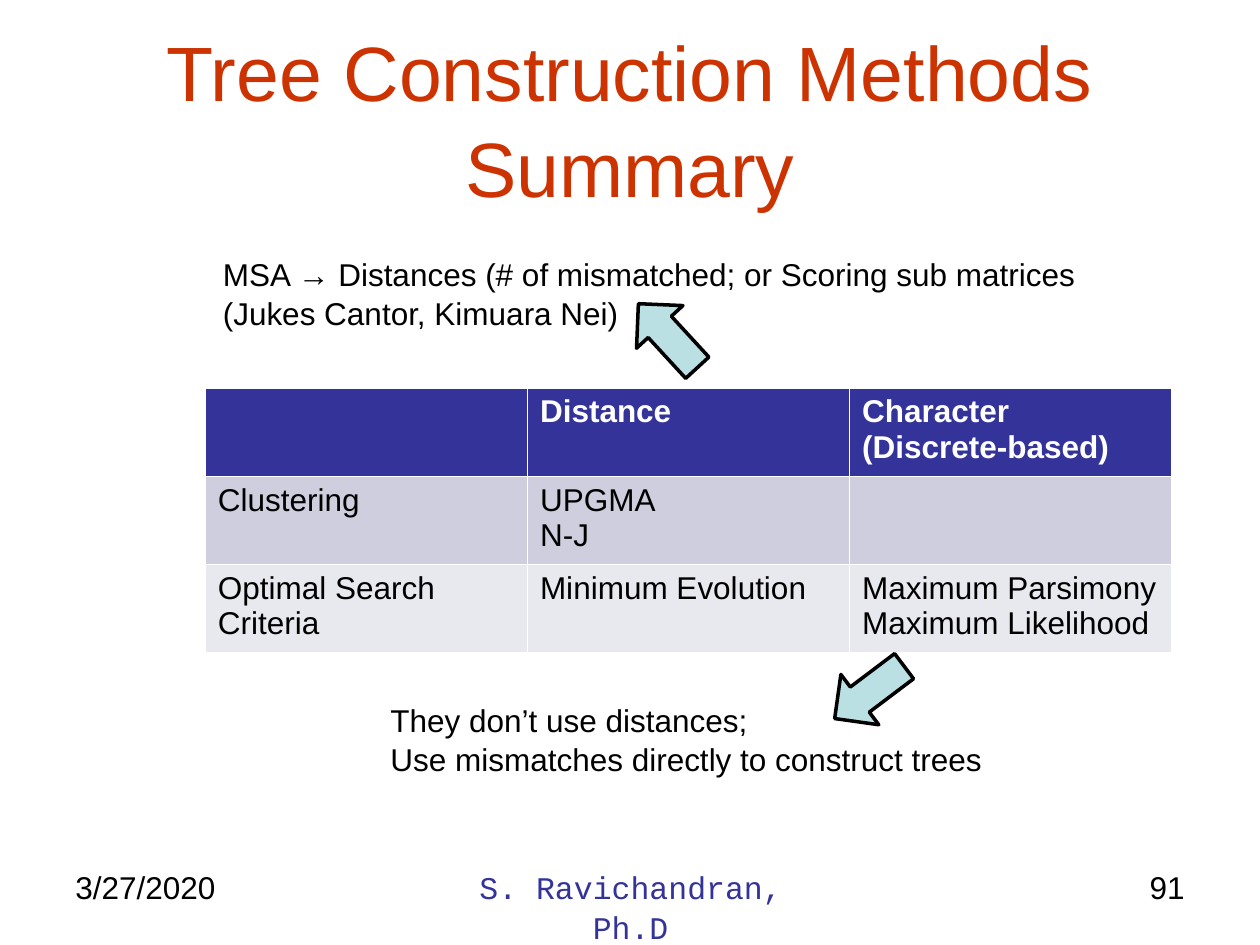
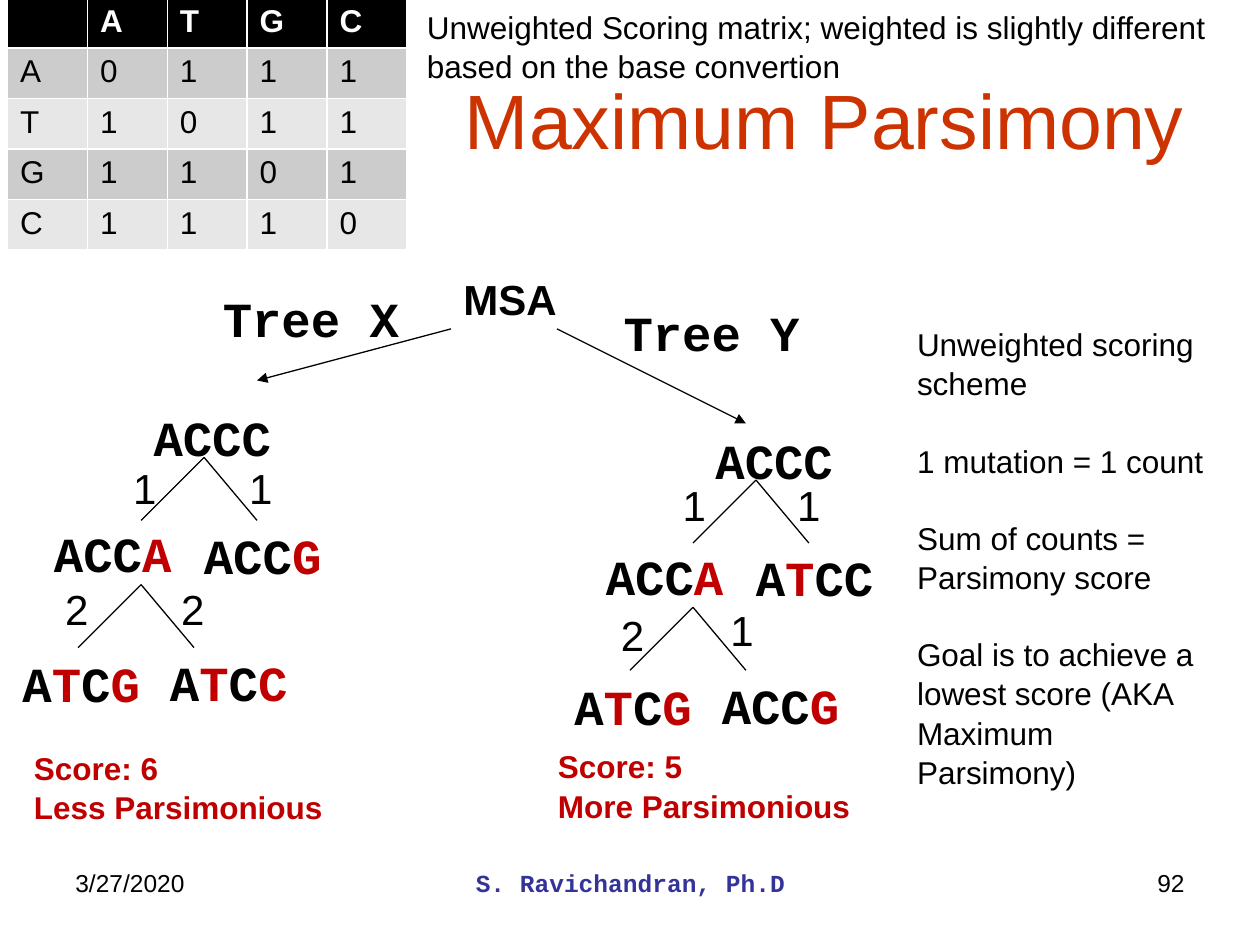
import itertools

import pptx
import pptx.dml.color
import pptx.enum.shapes
import pptx.enum.text
import pptx.oxml
import pptx.oxml.ns
import pptx.util

RGB = pptx.dml.color.RGBColor
BLACK = RGB(0x00, 0x00, 0x00)
WHITE = RGB(0xFF, 0xFF, 0xFF)
RUST = RGB(0xCC, 0x33, 0x00)
NAVY = RGB(0x33, 0x33, 0x99)
RED = RGB(0xC0, 0x00, 0x00)
AQUA = RGB(0xBB, 0xE0, 0xE3)
LILAC = (RGB(0xCE, 0xCE, 0xDE), RGB(0xE8, 0xE8, 0xEF))
GREY = (RGB(0xCC, 0xCC, 0xCC), RGB(0xE7, 0xE7, 0xE7))

SANS = "Arial"
MONO = "Courier New"
LEADING = 1.04

ALIGN = pptx.enum.text.PP_ALIGN
LEFT, CENTER, RIGHT = ALIGN.LEFT, ALIGN.CENTER, ALIGN.RIGHT
SHAPE = pptx.enum.shapes.MSO_SHAPE
LINE = pptx.enum.shapes.MSO_CONNECTOR.STRAIGHT
Inches = pptx.util.Inches
Pt = pptx.util.Pt


def inch(*sizes):
    return [Inches(size) for size in sizes]


def write(frame, paras, size=18, font=SANS, color=BLACK, bold=False,
          align=LEFT, gap=0, leading=LEADING):
    """Fill a frame; each paragraph is a string or a list of (text, color)."""
    frame.word_wrap = True
    for index, runs in enumerate(paras):
        para = frame.paragraphs[0] if index == 0 else frame.add_paragraph()
        para.alignment = align
        para.line_spacing = leading
        para.space_before = Pt(gap if index else 0)
        if isinstance(runs, str):
            runs = [(runs, color)]
        for words, tint in runs:
            run = para.add_run()
            run.text = words
            run.font.name = font
            run.font.size = Pt(size)
            run.font.bold = bold
            run.font.color.rgb = tint


def add_text(slide, box, *paras, **style):
    write(slide.shapes.add_textbox(*inch(*box)).text_frame, paras, **style)


def add_title(slide, words, align):
    title = slide.shapes.title
    title.left, title.top, title.width, title.height = inch(0.5, 0.3, 9, 1.25)
    title.text_frame.vertical_anchor = pptx.enum.text.MSO_ANCHOR.MIDDLE
    write(title.text_frame, [words], size=44, color=RUST, align=align)


def add_footer(slide, page, size, bold):
    top, height = 6.83, 0.52
    add_text(slide, (0.5, top, 2.33, height), "3/27/2020", size=size)
    add_text(slide, (3.42, top, 3.17, height), "S. Ravichandran, Ph.D",
             size=size, font=MONO, color=NAVY, bold=bold, align=CENTER)
    add_text(slide, (7.17, top, 2.33, height), page, size=size, align=RIGHT)


def add_grid(slide, box, rows, head, bands):
    """Table with a dark head row and banded rows; a cell is a line list."""
    table = slide.shapes.add_table(len(rows), len(rows[0]), *inch(*box)).table
    for index, row in enumerate(rows):
        top = index == 0
        for col, lines in enumerate(row):
            cell = table.cell(index, col)
            cell.fill.solid()
            cell.fill.fore_color.rgb = head if top else bands[(index - 1) % 2]
            write(cell.text_frame, lines, color=WHITE if top else BLACK,
                  bold=top, leading=1.0)


def add_arrow(slide, box, angle):
    arrow = slide.shapes.add_shape(SHAPE.DOWN_ARROW, *inch(*box))
    arrow.rotation = angle
    arrow.shadow.inherit = False
    arrow.fill.solid()
    arrow.fill.fore_color.rgb = AQUA
    arrow.line.color.rgb = BLACK
    arrow.line.width = Pt(2)


def add_line(slide, start, end, tip=False):
    line = slide.shapes.add_connector(LINE, *inch(*start, *end))
    line.line.color.rgb = BLACK
    line.line.width = Pt(0.75)
    space = pptx.oxml.ns.nsdecls("a")
    if tip:
        line.line._get_or_add_ln().append(
            pptx.oxml.parse_xml(f'<a:tailEnd {space} type="triangle"/>'))
    line._element.spPr.append(pptx.oxml.parse_xml(f"<a:effectLst {space}/>"))


def mark(child, parent):
    """Runs of the child sequence, red where it differs from its parent."""
    pairs = itertools.groupby(zip(child, parent), lambda pair: pair[0] != pair[1])
    return [("".join(base for base, _ in group), RED if differs else BLACK)
            for differs, group in pairs]


def add_tree(slide, left, top, indent, root, inner, leaves, spots):
    """Two-level tree: inner[0] is the parent of the leaves.

    The spots place the mutation counts, pair by pair from the top.
    """
    def add_node(x, y, seq, parent):
        add_text(slide, (left + x, top + y, 1.58, 0.57), mark(seq, parent),
                 size=28, font=MONO, bold=True)

    add_node(indent, 0, root, root)
    levels = [
        (root, inner, (1.54, 0.46), ((0.25, 0.92), (1.44, 0.93))),
        (inner[0], leaves, (1.04, 1.47), ((0, 1.95), (1.17, 1.94))),
    ]
    spot = iter(spots)
    for parent, pair, (x, y), places in levels:
        for child, place, reach in zip(pair, places, (-0.5, 0.42)):
            add_line(slide, (left + x, top + y),
                     (left + x + reach, top + y + 0.5))
            add_node(*place, child, parent)
            count = sum(a != b for a, b in zip(child, parent))
            across, down = next(spot)
            add_text(slide, (left + across, top + down, 0.54, 0.5),
                     str(count), size=24, align=CENTER)


def add_score(slide, left, top, *lines):
    add_text(slide, (left, top, 3.02, 0.71), *lines, color=RED, bold=True)


def build_methods(slide):
    add_title(slide, "Tree Construction Methods Summary", CENTER)
    add_footer(slide, "91", 18, False)
    rows = [
        [[], ["Distance"], ["Character (Discrete-based)"]],
        [["Clustering"], ["UPGMA", "N-J"], []],
        [["Optimal Search Criteria"], ["Minimum Evolution"],
         ["Maximum Parsimony", "Maximum Likelihood"]],
    ]
    add_grid(slide, (1.63, 3.08, 7.67, 1.98), rows, NAVY, LILAC)
    add_text(slide, (1.67, 1.96, 7.25, 0.71),
             "MSA → Distances (# of mismatched; or Scoring sub matrices "
             "(Jukes Cantor, Kimuara Nei)")
    add_arrow(slide, (6.65, 5.15, 0.5, 0.69), 53)
    add_arrow(slide, (5.05, 2.32, 0.5, 0.69), 137.4)
    add_text(slide, (3, 5.5, 5.83, 0.71), "They don’t use distances;",
             "Use mismatches directly to construct trees")


def build_parsimony(slide):
    add_title(slide, "Maximum Parsimony", RIGHT)
    add_footer(slide, "92", 14, True)

    add_text(slide, (3.58, 2.11, 1.08, 0.5), "MSA", size=24, bold=True)
    add_line(slide, (3.58, 2.61), (2.04, 3.02), tip=True)
    add_line(slide, (4.42, 2.61), (5.92, 3.36), tip=True)
    for left, top, name in ((1.67, 2.22, "Tree X"), (4.85, 2.33, "Tree Y")):
        add_text(slide, (left, top, 1.91, 0.57), name,
                 size=28, font=MONO, bold=True)

    add_tree(slide, 0.08, 3.17, 1.04, "ACCC", ("ACCA", "ACCG"),
             ("ATCG", "ATCC"),
             ((0.8, 0.44), (1.72, 0.44), (0.26, 1.4), (1.18, 1.4)))
    add_tree(slide, 4.46, 3.35, 1.12, "ACCC", ("ACCA", "ATCC"),
             ("ATCG", "ACCG"),
             ((0.78, 0.39), (1.69, 0.39), (0.29, 1.42), (1.16, 1.38)))
    add_score(slide, 0.17, 5.88, "Score: 6", "Less Parsimonious")
    add_score(slide, 4.33, 5.87, "Score: 5", "More Parsimonious")

    add_text(slide, (7.18, 2.52, 2.5, 3.74),
             "Unweighted scoring scheme",
             "1 mutation = 1 count",
             "Sum of counts = Parsimony score",
             "Goal is to achieve a lowest score (AKA Maximum Parsimony)",
             gap=21.6)
    bases = "ATGC"
    rows = [[[]] + [[base] for base in bases]]
    rows += [[[a]] + [[str(int(a != b))] for b in bases] for a in bases]
    add_grid(slide, (0.06, -0.02, 3.17, 2), rows, BLACK, GREY)
    add_text(slide, (3.29, 0, 6.71, 0.71),
             "Unweighted Scoring matrix; weighted is slightly different "
             "based on the base convertion")


def main():
    deck = pptx.Presentation()
    deck.slide_width, deck.slide_height = inch(10, 7.5)
    layout = deck.slide_layouts.get_by_name("Title Only")
    for build in (build_methods, build_parsimony):
        build(deck.slides.add_slide(layout))
    deck.save("out.pptx")


if __name__ == "__main__":
    main()
